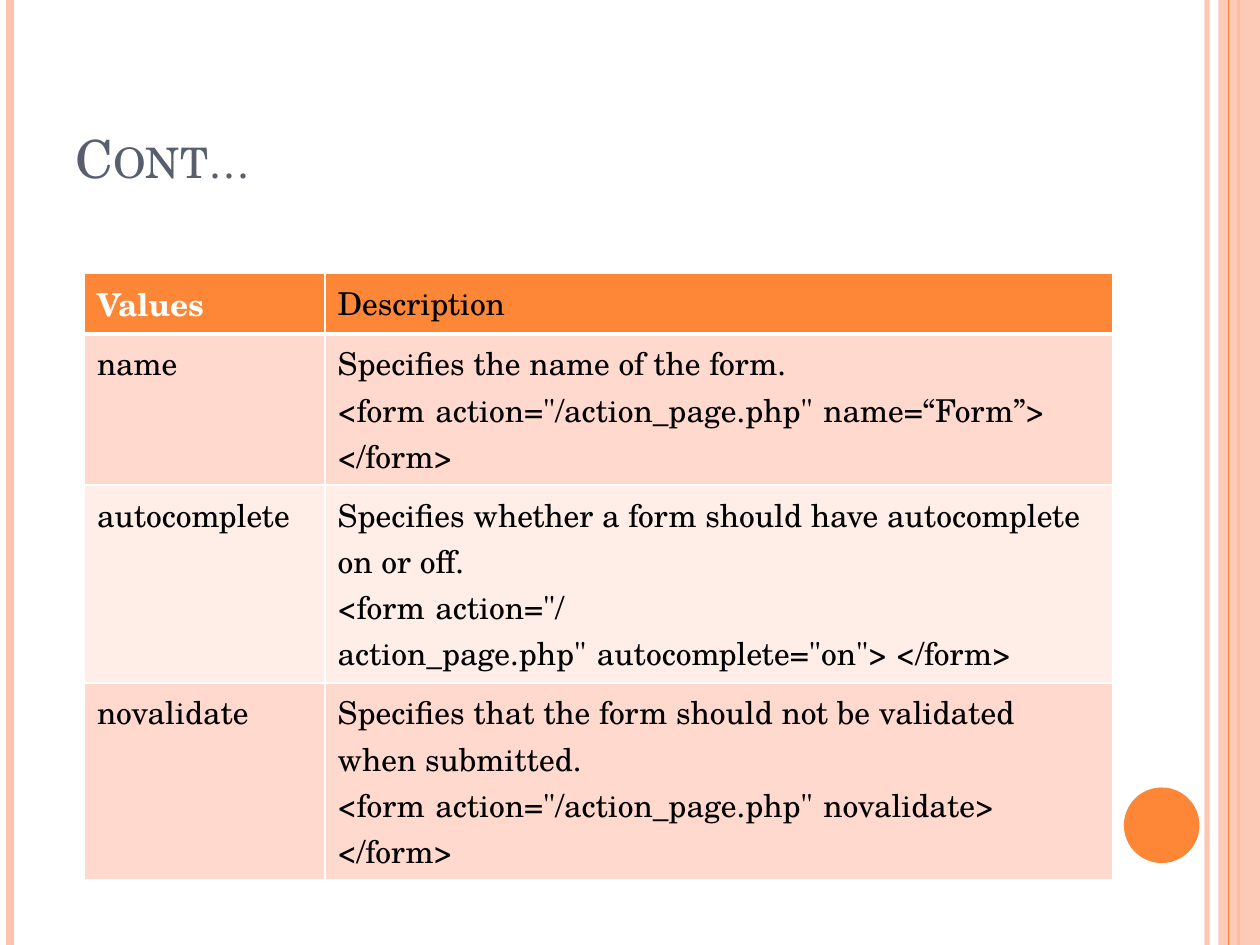
from dataclasses import dataclass

from lxml import etree
from pptx import Presentation
from pptx.dml.color import RGBColor
from pptx.enum import shapes, text
from pptx.oxml.ns import qn
from pptx.util import Inches, Pt

FONT = "TeX Gyre Schola"
NBSP = chr(160)
ORANGE = RGBColor(0xFE, 0x86, 0x37)
PEACH = RGBColor(0xFE, 0xC3, 0xAE)
SLATE = RGBColor(0x57, 0x5F, 0x6D)
WHITE = RGBColor(0xFF, 0xFF, 0xFF)
BLACK = RGBColor(0, 0, 0)
BAND_DARK = RGBColor(0xFF, 0xD9, 0xCE)
BAND_LIGHT = RGBColor(0xFF, 0xED, 0xE8)


@dataclass
class Stripe:
    x: float
    color: RGBColor
    width: float
    opacity: int = 100


@dataclass
class Entry:
    value: str
    description: list[str]
    height: float


def form_tag(attribute: str) -> str:
    return f'<form{NBSP}action="/action_page.php"{NBSP}{attribute}> </form>'


OUTER_STRIPES = [Stripe(9.58, PEACH, 3, 93), Stripe(0.08, PEACH, 4.5), Stripe(9.83, ORANGE, 1.5)]
INNER_STRIPE = Stripe(9.75, ORANGE, 0.75)
ENTRIES = [
    Entry("Values", ["Description"], 0.48),
    Entry("name", ["Specifies the name of the form.", form_tag("name=“Form”")], 1.2),
    Entry("autocomplete", [
        "Specifies whether a form should have autocomplete on or off.",
        form_tag('autocomplete="on"'),
    ], 1.57),
    Entry("novalidate", [
        "Specifies that the form should not be validated when submitted.",
        form_tag("novalidate"),
    ], 1.56),
]


def set_opacity(sp_pr, percent: int) -> None:
    color = next(sp_pr.iter(qn("a:srgbClr")))
    etree.SubElement(color, qn("a:alpha"), val=str(percent * 1000))


def add_stripe(s, stripe: Stripe) -> None:
    x = Inches(stripe.x)
    line = s.shapes.add_connector(shapes.MSO_CONNECTOR.STRAIGHT, x, 0, x, Inches(7.5))
    line.line.color.rgb = stripe.color
    line.line.width = Pt(stripe.width)
    sp_pr = line._element.spPr
    if stripe.opacity < 100:
        set_opacity(sp_pr, stripe.opacity)
    etree.SubElement(sp_pr, qn("a:effectLst"))


def add_solid(s, kind, x: float, y: float, w: float, h: float, color: RGBColor):
    sp = s.shapes.add_shape(kind, Inches(x), Inches(y), Inches(w), Inches(h))
    sp.shadow.inherit = False
    sp.fill.solid()
    sp.fill.fore_color.rgb = color
    sp.line.fill.background()
    return sp


def add_run(p, words: str, size: float, color: RGBColor, bold: bool = False):
    r = p.add_run()
    r.text = words
    r.font.name = FONT
    r.font.size = Pt(size)
    r.font.bold = bold
    r.font.color.rgb = color
    return r


def add_title(s, words: str) -> None:
    box = s.shapes.add_textbox(Inches(0.5), Inches(0.3), Inches(8.17), Inches(1.25))
    tf = box.text_frame
    tf.word_wrap = True
    tf.vertical_anchor = text.MSO_ANCHOR.BOTTOM
    r = add_run(tf.paragraphs[0], words, 30, SLATE)
    r.font._element.set("cap", "small")


def set_borders(cell, top: float, bottom: float) -> None:
    tc_pr = cell._tc.get_or_add_tcPr()
    sides = {"a:lnL": 1, "a:lnR": 1, "a:lnT": top, "a:lnB": bottom}
    for i, (tag, width) in enumerate(sides.items()):
        ln = etree.Element(qn(tag), w=str(Pt(width)))
        fill = etree.SubElement(ln, qn("a:solidFill"))
        etree.SubElement(fill, qn("a:srgbClr"), val=str(WHITE))
        tc_pr.insert(i, ln)


def fill_cell(cell, lines: list[str], row: int, header_label: bool) -> None:
    cell.fill.solid()
    cell.fill.fore_color.rgb = ORANGE if row == 0 else BAND_DARK if row % 2 else BAND_LIGHT
    set_borders(cell, 3 if row == 1 else 1, 3 if row == 0 else 1)
    tf = cell.text_frame
    for i, words in enumerate(lines):
        p = tf.add_paragraph() if i else tf.paragraphs[0]
        add_run(p, words, 18, WHITE if header_label else BLACK, header_label)


def add_attribute_table(s, entries: list[Entry]) -> None:
    height = sum(entry.height for entry in entries)
    frame = s.shapes.add_table(len(entries), 2, Inches(0.67), Inches(2.17),
                               Inches(8.16), Inches(height))
    table = frame.table
    for column, width in zip(table.columns, (1.91, 6.25)):
        column.width = Inches(width)
    for i, entry in enumerate(entries):
        table.rows[i].height = Inches(entry.height)
        fill_cell(table.cell(i, 0), [entry.value], i, i == 0)
        fill_cell(table.cell(i, 1), entry.description, i, False)


def main() -> None:
    prs = Presentation()
    prs.slide_width, prs.slide_height = Inches(10), Inches(7.5)
    s = prs.slides.add_slide(prs.slide_layouts[6])
    for stripe in OUTER_STRIPES:
        add_stripe(s, stripe)
    band = add_solid(s, shapes.MSO_SHAPE.RECTANGLE, 9.67, 0, 0.33, 7.5, PEACH)
    set_opacity(band._element.spPr, 87)
    add_stripe(s, INNER_STRIPE)
    add_solid(s, shapes.MSO_SHAPE.OVAL, 8.92, 6.25, 0.6, 0.6, ORANGE)
    add_title(s, "Cont…")
    add_attribute_table(s, ENTRIES)
    prs.save("out.pptx")


if __name__ == "__main__":
    main()
